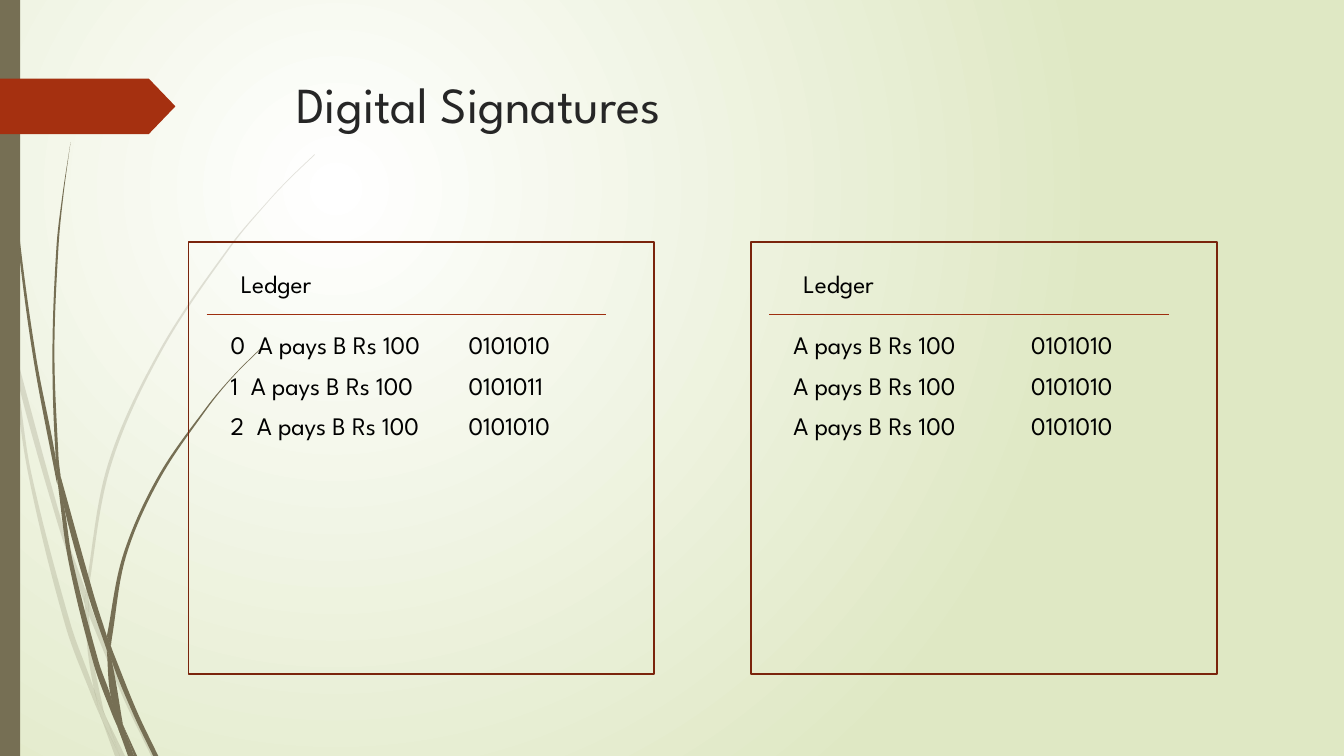
from math import dist

from lxml.etree import SubElement
from pptx import Presentation
from pptx.dml.color import RGBColor
from pptx.enum.shapes import MSO_CONNECTOR, MSO_SHAPE
from pptx.enum.text import MSO_ANCHOR, MSO_AUTO_SIZE, PP_ALIGN
from pptx.oxml.ns import qn
from pptx.util import Inches, Pt

COLORS = {
    "white": "FFFFFF", "lime": "DFE8C4", "olive": "766F54", "rust": "A53010",
    "frame": "7A240C", "rule": "9E2E0F", "title": "262626", "text": "000000",
}
FONT = "League Spartan"
TITLE_FORMAT = {"name": FONT, "size": Pt(36), "bold": False}
BODY_FORMAT = {"name": FONT, "size": Pt(18)}

FADED_BLADES = [
    ([(0, 2.99), (0.1, 3.44), (0.11, 3.5)], [(0, 2.82), (0.09, 3.22), (0.11, 3.5)]),
    ([(0.14, 3.45), (0.17, 3.76), (0.58, 5.22), (0.84, 5.99)],
     [(0.14, 3.45), (0.62, 5.2), (0.85, 5.86)]),
    ([(0.88, 6.1), (1.23, 6.94), (1.5, 7.5)],
     [(0.88, 5.96), (0.92, 6.07), (1.27, 6.92), (1.55, 7.5)]),
    ([(1.05, 7.11), (1.19, 7.5)], [(1.05, 7.11), (1.24, 7.5)]),
    ([(0.11, 3.5), (0.28, 4.7), (0.65, 6.21), (0.92, 6.93), (1.01, 7.14)],
     [(0.11, 3.5), (0.17, 3.76), (0.31, 4.69), (0.7, 6.19), (0.93, 6.83), (0.99, 7.07),
      (1.01, 7.14)]),
    ([(0.84, 5.99), (0.87, 6.46), (0.93, 6.83), (0.96, 6.92), (1.05, 7.11)],
     [(0.84, 5.99), (0.88, 6.1), (0.91, 6.46), (1.03, 7.06), (1.05, 7.11)]),
    ([(3.12, 1.53), (2.89, 1.75), (2.68, 1.97), (2.28, 2.44), (1.58, 3.48), (1.07, 4.61),
      (0.85, 5.84), (0.85, 5.86)],
     [(3.12, 1.54), (2.9, 1.75), (2.68, 1.98), (2.29, 2.45), (1.6, 3.49), (1.1, 4.62),
      (0.88, 5.84), (0.88, 5.96)]),
    ([(1.01, 7.14), (1.14, 7.5)], [(1.01, 7.14), (1.19, 7.5)]),
    ([(0.85, 5.86), (0.84, 5.99), (0.88, 6.08)], [(0.85, 5.86), (0.88, 5.96), (0.88, 6.1)]),
    ([(0.93, 6.83), (0.99, 7.07), (1.01, 7.14), (1.19, 7.5)],
     [(0.93, 6.83), (0.96, 6.92), (1.05, 7.11), (1.19, 7.5)]),
]
SOLID_BLADES = [
    ([(0.03, 0), (0.04, 0.48), (0.07, 1.1), (0.17, 2.33), (0.33, 3.55), (0.56, 4.77), (0.57, 4.81)],
     [(0.04, 0), (0.05, 0.48), (0.08, 1.09), (0.19, 2.32), (0.36, 3.55), (0.55, 4.53), (0.57, 4.81)]),
    ([(0.6, 4.72), (0.64, 5.05), (0.88, 5.92), (1.06, 6.45)],
     [(0.6, 4.72), (0.93, 5.9), (1.06, 6.31)]),
    ([(1.1, 6.41), (1.11, 6.56), (1.32, 7.08), (1.52, 7.5)],
     [(1.1, 6.41), (1.13, 6.49), (1.36, 7.06), (1.57, 7.5)]),
    ([(0.57, 4.77), (0.68, 5.57), (0.93, 6.59), (1.11, 7.08), (1.17, 7.22)],
     [(0.57, 4.77), (0.64, 5.05), (0.72, 5.56), (0.98, 6.57), (1.1, 6.91), (1.17, 7.22)]),
    ([(0.7, 1.41), (0.62, 1.93), (0.56, 2.45), (0.52, 3.49), (0.55, 4.49), (0.6, 4.72)],
     [(0.7, 1.41), (0.63, 1.93), (0.58, 2.45), (0.54, 3.49), (0.58, 4.53), (0.6, 4.72)]),
    ([(1.22, 7.19), (1.33, 7.5)], [(1.22, 7.19), (1.36, 7.5)]),
    ([(0.55, 4.49), (0.57, 4.77), (0.64, 5.05)], [(0.55, 4.49), (0.6, 4.72), (0.64, 5.05)]),
    ([(2.6, 3.44), (2.31, 3.73), (2.04, 4.05), (1.56, 4.74), (1.22, 5.51), (1.06, 6.31)],
     [(2.61, 3.44), (2.31, 3.74), (2.05, 4.06), (1.58, 4.76), (1.25, 5.52), (1.11, 6.33),
      (1.1, 6.41)]),
    ([(1.17, 7.22), (1.27, 7.5)], [(1.17, 7.22), (1.31, 7.5)]),
    ([(1.06, 6.45), (1.1, 6.91), (1.22, 7.19)], [(1.06, 6.45), (1.11, 6.56), (1.22, 7.19)]),
    ([(1.06, 6.31), (1.06, 6.45)], [(1.06, 6.31), (1.1, 6.41), (1.11, 6.56)]),
    ([(1.1, 6.91), (1.17, 7.22), (1.3, 7.5)], [(1.1, 6.91), (1.22, 7.19), (1.33, 7.5)]),
]
LEDGERS = [
    (1.87, [("0  A pays B Rs 100", "0101010", 2.03),
            ("1  A pays B Rs 100", "0101011", 3.44),
            ("2  A pays B Rs 100", "0101010", 3.44)]),
    (7.45, [("A pays B Rs 100", "0101010", 2.03)] * 3),
]


def color(name):
    return RGBColor.from_string(COLORS[name])


def apply_format(target, values):
    for name, value in values.items():
        setattr(target, name, value)


def write(shape, text, frame_format, font_format, color_name):
    apply_format(shape.text_frame, frame_format)
    paragraph = shape.text_frame.paragraphs[0]
    paragraph.alignment = PP_ALIGN.LEFT
    run = paragraph.add_run()
    run.text = text
    apply_format(run.font, font_format)
    run.font.color.rgb = color(color_name)


def paint(shape, color_name):
    shape.shadow.inherit = False
    shape.fill.solid()
    shape.fill.fore_color.rgb = color(color_name)
    shape.line.fill.background()


def handle(point, toward, before, after):
    reach = dist(point, toward) / 3 / (dist(before, after) or 1)
    return [p + (a - b) * reach for p, b, a in zip(point, before, after)]


def curve_handles(edge):
    padded = [edge[0], *edge, edge[-1]]
    return [(handle(start, end, before, end), handle(end, start, after, start))
            for before, start, end, after in zip(padded, padded[1:], padded[2:], padded[3:])]


def add_background(slide):
    fill = slide.background.fill
    fill.gradient()
    for stop, name, position in zip(fill.gradient_stops, ("white", "lime"), (0, 1)):
        stop.color.rgb = color(name)
        stop.position = position
    gradient = slide.element.find(".//" + qn("a:gradFill"))
    gradient.remove(gradient.find(qn("a:lin")))
    circle = SubElement(gradient, qn("a:path"), path="circle")
    SubElement(circle, qn("a:fillToRect"), l="50000", t="50000", r="100000", b="100000")


def add_blade(shapes, left_edge, right_edge, alpha):
    right_edge = right_edge[::-1]
    outline = [(Inches(x), Inches(y)) for x, y in left_edge + right_edge]
    builder = shapes.build_freeform(*outline[0])
    builder.add_line_segments(outline[1:], close=True)
    blade = builder.convert_to_shape()
    paint(blade, "olive")
    handles = curve_handles(left_edge) + [None] + curve_handles(right_edge)
    segments = list(blade._element.iter(qn("a:lnTo")))
    for segment, controls in zip(segments, handles):
        if controls:
            segment.tag = qn("a:cubicBezTo")
            for index, (x, y) in enumerate(controls):
                point = SubElement(segment, qn("a:pt"), x=str(Inches(x) - blade.left),
                                   y=str(Inches(y) - blade.top))
                segment.insert(index, point)
    tint = blade._element.spPr.find(qn("a:solidFill")).find(qn("a:srgbClr"))
    SubElement(tint, qn("a:alpha"), val=str(alpha * 1000))


def add_decoration(slide):
    for blades, alpha in ((FADED_BLADES, 20), (SOLID_BLADES, 100)):
        group = slide.shapes.add_group_shape()
        for edges in blades:
            add_blade(group.shapes, *edges, alpha)
    bar = slide.shapes.add_shape(MSO_SHAPE.RECTANGLE, 0, 0, Inches(0.2), Inches(7.5))
    paint(bar, "olive")
    ribbon = slide.shapes.add_shape(
        MSO_SHAPE.PENTAGON, 0, Inches(0.78), Inches(1.74), Inches(0.55))
    ribbon.adjustments[0] = 0.48
    paint(ribbon, "rust")


def add_title(slide, left, top, width, height):
    title = slide.shapes.title
    apply_format(title, {"left": Inches(left), "top": Inches(top),
                         "width": Inches(width), "height": Inches(height)})
    frame_format = {"word_wrap": True, "auto_size": MSO_AUTO_SIZE.NONE,
                    "vertical_anchor": MSO_ANCHOR.TOP}
    write(title, "Digital Signatures", frame_format, TITLE_FORMAT, "title")


def add_label(slide, text, left, top, width):
    label = slide.shapes.add_textbox(Inches(left), Inches(top), Inches(width), Inches(0.4))
    frame_format = {"word_wrap": True, "auto_size": MSO_AUTO_SIZE.SHAPE_TO_FIT_TEXT}
    write(label, text, frame_format, BODY_FORMAT, "text")


def add_ledger(slide, left, top, width, height, entries):
    frame = slide.shapes.add_shape(
        MSO_SHAPE.RECTANGLE, Inches(left), Inches(top), Inches(width), Inches(height))
    frame.shadow.inherit = False
    frame.fill.background()
    apply_format(frame.line, {"width": Pt(1.25)})
    frame.line.color.rgb = color("frame")
    add_label(slide, "Ledger", left + 0.42, top + 0.21, 3.44)
    rule_top = Inches(top + 0.72)
    rule = slide.shapes.add_connector(
        MSO_CONNECTOR.STRAIGHT, Inches(left + 0.18), rule_top, Inches(left + 4.14), rule_top)
    rule.line.color.rgb = color("rule")
    rule.line.width = Pt(0.75)
    SubElement(rule._element.spPr, qn("a:effectLst"))
    for index, (payment, signature, signature_width) in enumerate(entries):
        row_top = top + 0.82 + 0.4 * index
        add_label(slide, payment, left + 0.32, row_top, 3.44)
        add_label(slide, signature, left + 2.68, row_top, signature_width)


def main():
    presentation = Presentation()
    apply_format(presentation, {"slide_width": Inches(13.33), "slide_height": Inches(7.5)})
    slide = presentation.slides.add_slide(presentation.slide_layouts[5])
    add_background(slide)
    add_decoration(slide)
    add_title(slide, 2.84, 0.68, 9.75, 1.4)
    for left, entries in LEDGERS:
        add_ledger(slide, left, 2.4, 4.62, 4.29, entries)
    presentation.save("out.pptx")


if __name__ == "__main__":
    main()
